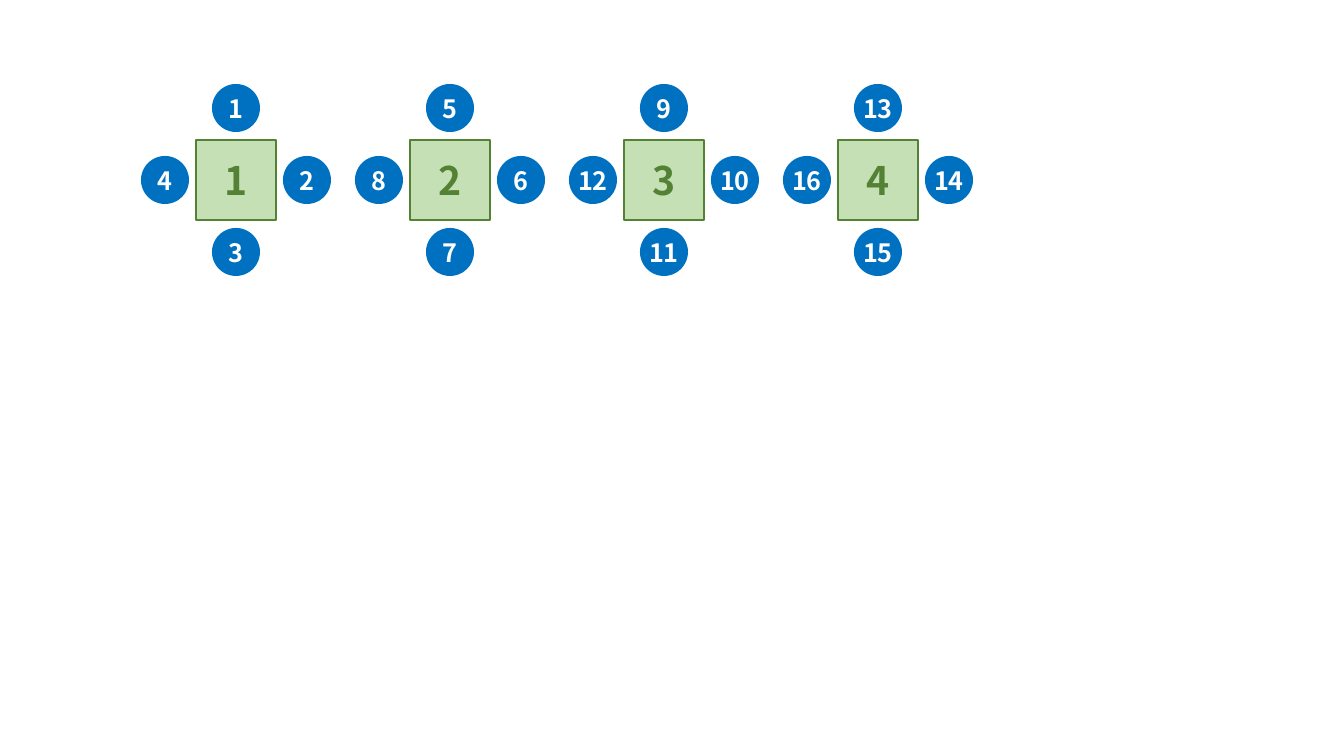
from pptx import Presentation
from pptx.dml.color import RGBColor
from pptx.enum.shapes import MSO_SHAPE as SHAPE
from pptx.enum.text import MSO_ANCHOR as ANCHOR, PP_ALIGN as ALIGN
from pptx.util import Pt

EMU_PER_PX = 914400 / 100.8
COLORS = {"white": "FFFFFF", "blue": "0070C0", "pale_green": "C5E0B4", "green": "548235"}
FONT = "Noto Sans CJK JP"

TABLE_COUNT, TABLE_PITCH = 4, 214
FIRST_CENTER_X, CENTER_Y = 236, 180
TABLE_SIZE, SEAT_SIZE = 80, 48
# Seats run clockwise from the top of each table
SEAT_OFFSETS = [(0, -72), (71, 0), (0, 72), (-71, 0)]


def px(n):
    return round(n * EMU_PER_PX)


def color(name):
    return RGBColor.from_string(COLORS[name])


def write_text(sp, text, *, size, font_color, wrap=True):
    tf = sp.text_frame
    tf.word_wrap = wrap
    tf.vertical_anchor = ANCHOR.MIDDLE
    p = tf.paragraphs[0]
    p.alignment = ALIGN.CENTER
    r = p.add_run()
    r.text = text
    r.font.name = FONT
    r.font.size = Pt(size)
    r.font.bold = True
    r.font.color.rgb = color(font_color)


class SeatingSlide:
    def __init__(self, prs):
        self.s = prs.slides.add_slide(prs.slide_layouts[6])

    def centered_shape(self, group, kind, cx, cy, size, fill, line=None):
        sp = group.shapes.add_shape(
            kind, px(cx - size // 2), px(cy - size // 2), px(size), px(size))
        sp.shadow.inherit = False
        sp.fill.solid()
        sp.fill.fore_color.rgb = color(fill)
        if line:
            sp.line.color.rgb = color(line)
            sp.line.width = Pt(1.5)
        else:
            sp.line.fill.background()
        return sp

    def table(self, group, number, cx, cy):
        sp = self.centered_shape(group, SHAPE.RECTANGLE, cx, cy, TABLE_SIZE,
                                 "pale_green", line="green")
        write_text(sp, str(number), size=28, font_color="green")

    def seat(self, group, number, cx, cy):
        sp = self.centered_shape(group, SHAPE.OVAL, cx, cy, SEAT_SIZE, "blue")
        write_text(sp, str(number), size=18, font_color="white", wrap=False)

    def table_with_seats(self, index):
        group = self.s.shapes.add_group_shape()
        cx = FIRST_CENTER_X + index * TABLE_PITCH
        self.table(group, index + 1, cx, CENTER_Y)
        first_seat = index * len(SEAT_OFFSETS) + 1
        for number, (dx, dy) in enumerate(SEAT_OFFSETS, first_seat):
            self.seat(group, number, cx + dx, CENTER_Y + dy)


def main():
    prs = Presentation()
    prs.slide_width, prs.slide_height = px(1344), px(756)
    slide = SeatingSlide(prs)
    for index in range(TABLE_COUNT):
        slide.table_with_seats(index)
    prs.save("out.pptx")


if __name__ == "__main__":
    main()
